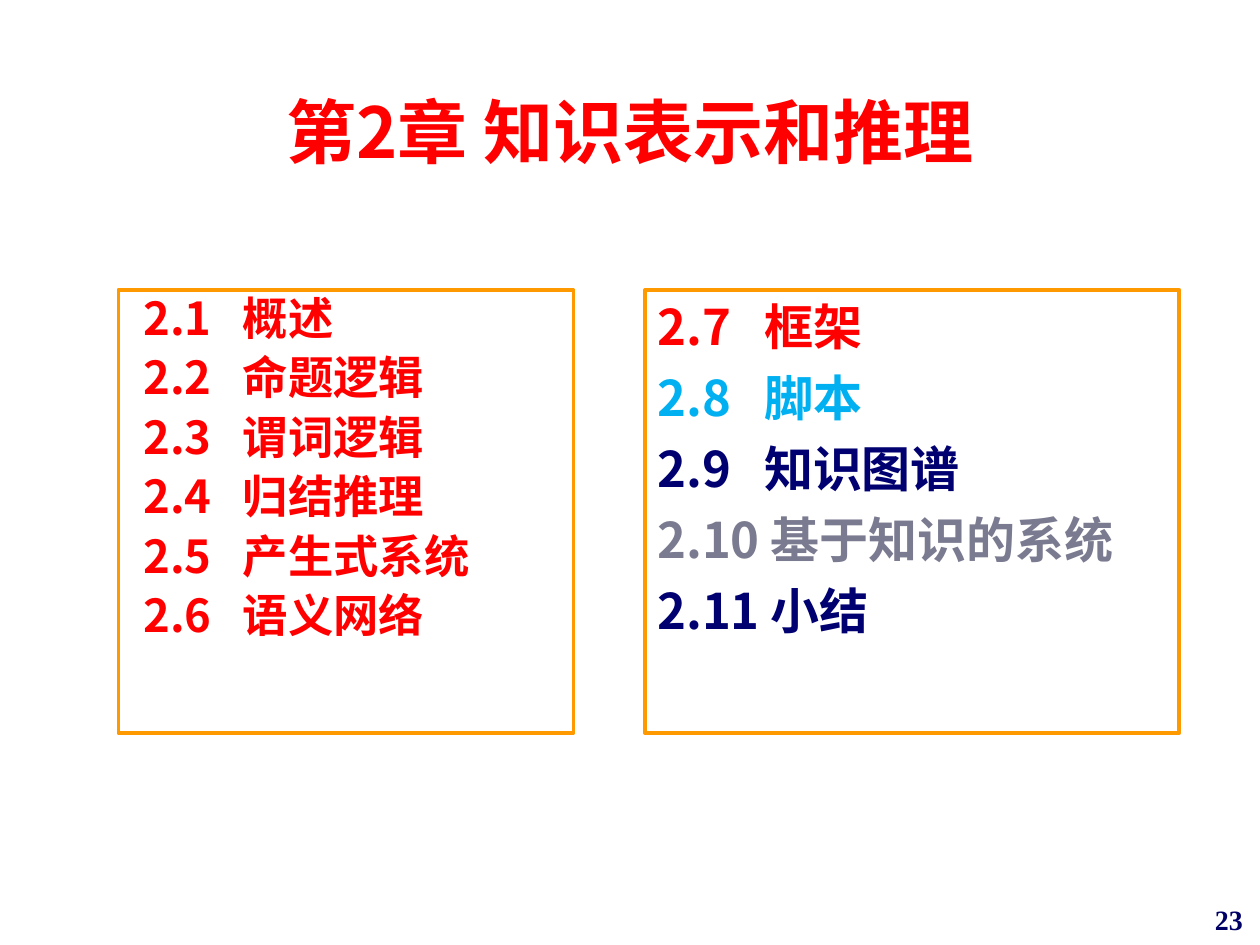
from lxml.etree import SubElement
from pptx import Presentation
from pptx.dml.color import RGBColor
from pptx.enum.shapes import MSO_SHAPE
from pptx.enum.text import MSO_ANCHOR, PP_ALIGN
from pptx.oxml.ns import qn
from pptx.util import Pt


def color(value):
    return RGBColor.from_string(value)


def style(paragraph, size, value, align, face="Noto Sans CJK SC"):
    paragraph.alignment = align
    font = paragraph.font
    font.size = Pt(size)
    font.bold = True
    font.color.rgb = color(value)
    font.name = face
    properties = paragraph._p.pPr.find(qn("a:defRPr"))
    SubElement(properties, qn("a:ea")).set("typeface", face)


RED, BLUE, NAVY, GRAY = "FF0000", "00B0F0", "000070", "7A7A90"

first_sections = [
    ("2.1\t概述", RED),
    ("2.2\t命题逻辑", RED),
    ("2.3\t谓词逻辑", RED),
    ("2.4\t归结推理", RED),
    ("2.5\t产生式系统", RED),
    ("2.6\t语义网络", RED),
]
second_sections = [
    ("2.7\t框架", RED),
    ("2.8\t脚本", BLUE),
    ("2.9\t知识图谱", NAVY),
    ("2.10 基于知识的系统", GRAY),
    ("2.11 小结", NAVY),
]
columns = [
    (67.7, 260, first_sections, 25.9, 64, -56.8, 0.9, 6, PP_ALIGN.JUSTIFY),
    (368.6, 305.3, second_sections, 28, 61, -61, 1.0, 7, PP_ALIGN.LEFT),
]

prs = Presentation()
prs.slide_width, prs.slide_height = Pt(720), Pt(540)
slide = prs.slides.add_slide(prs.slide_layouts[5])

title = slide.shapes.title
title.left, title.top, title.width, title.height = Pt(54), Pt(29.5), Pt(612), Pt(90)
title.text_frame.text = "第2章 知识表示和推理"
title.text_frame.vertical_anchor = MSO_ANCHOR.MIDDLE
style(title.text_frame.paragraphs[0], 40, RED, PP_ALIGN.CENTER)

for left, width, sections, size, margin, indent, spacing, gap, align in columns:
    outline = slide.shapes.add_shape(
        MSO_SHAPE.RECTANGLE, Pt(left), Pt(165.6), Pt(width), Pt(253.4))
    outline.shadow.inherit = False
    outline.fill.solid()
    outline.fill.fore_color.rgb = color("FFFFFF")
    outline.line.color.rgb = color("FF9900")
    outline.line.width = Pt(2)
    frame = outline.text_frame
    frame.word_wrap = True
    frame.vertical_anchor = MSO_ANCHOR.TOP
    for index, (section, section_color) in enumerate(sections):
        paragraph = frame.add_paragraph() if index else frame.paragraphs[0]
        paragraph.text = section
        paragraph.line_spacing = spacing
        if index:
            paragraph.space_before = Pt(gap)
        properties = paragraph._p.get_or_add_pPr()
        properties.set("marL", str(Pt(margin)))
        properties.set("indent", str(Pt(indent)))
        style(paragraph, size, section_color, align)

page_number = slide.shapes.add_textbox(Pt(567.4), Pt(511.9), Pt(149.8), Pt(28.1))
page_number.text_frame.word_wrap = True
page_number.text_frame.text = "23"
style(page_number.text_frame.paragraphs[0], 16, "000066", PP_ALIGN.RIGHT, "Times New Roman")

prs.save("out.pptx")
